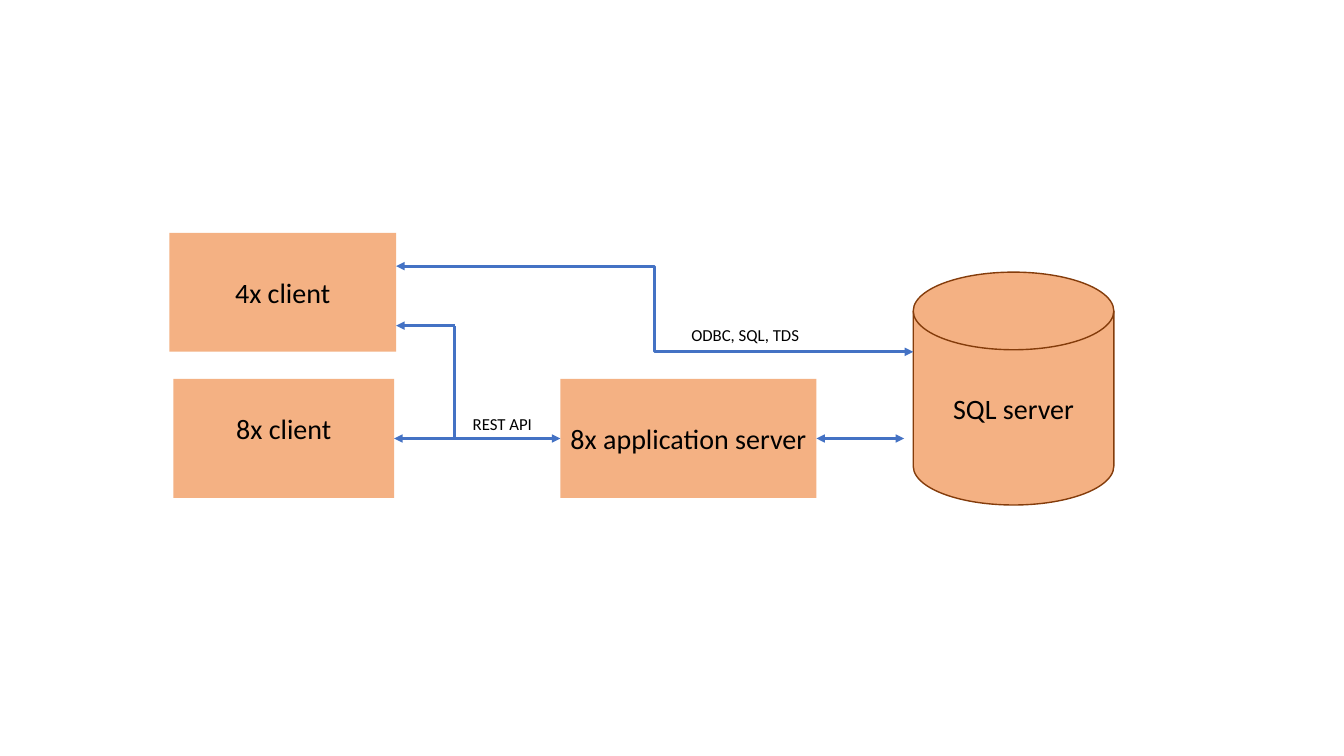
"""Build a slide showing how clients reach a SQL server."""
import dataclasses
import typing

import lxml.etree
import pptx
import pptx.dml.color
import pptx.enum.shapes
import pptx.enum.text
import pptx.oxml.ns
import pptx.shapes.autoshape
import pptx.shapes.connector
import pptx.slide
import pptx.util

Pt = pptx.util.Pt
Color = pptx.dml.color.RGBColor
Preset = pptx.enum.shapes.MSO_SHAPE
Route = pptx.enum.shapes.MSO_CONNECTOR
Align = pptx.enum.text.PP_ALIGN
Anchor = pptx.enum.text.MSO_ANCHOR
qn = pptx.oxml.ns.qn

LEFT_SIDE, RIGHT_SIDE = 1, 3
ROW_TOP = 270.72
BOX_HEIGHT = 84.96
ROW_MIDDLE = ROW_TOP + BOX_HEIGHT / 2
UPPER_CLIENT_RIGHT = 282.96
BRANCH_X = 324.72
BRANCH_Y = 232.56


@dataclasses.dataclass(frozen=True)
class Theme:
    font: str = "Calibri"
    text: Color = Color.from_string("000000")
    node_fill: Color = Color.from_string("F4B183")
    node_outline: Color = Color.from_string("843C0B")
    link: Color = Color.from_string("4472C4")
    node_size: float = 20
    label_size: float = 12
    outline_width: float = 1
    link_width: float = 2


@dataclasses.dataclass(frozen=True)
class Node:
    text: str
    left: float
    top: float
    width: float
    height: float = BOX_HEIGHT
    preset: Preset = Preset.RECTANGLE
    outlined: bool = False
    bottom_margin: float = 3.6


@dataclasses.dataclass(frozen=True)
class Label:
    text: str
    left: float
    top: float
    width: float
    height: float
    alignment: Align


@dataclasses.dataclass(frozen=True)
class Link:
    start: tuple[float, float]
    end: tuple[float, float]
    arrows: tuple[str, ...] = ("headEnd", "tailEnd")
    route: Route = Route.STRAIGHT
    start_node: typing.Optional[str] = None
    end_node: typing.Optional[str] = None


THEME = Theme()
NODES = (
    Node("8x application server", 400.32, ROW_TOP, 182.88),
    Node("8x client", 123.84, ROW_TOP, 157.68, bottom_margin=18),
    Node("SQL server", 652.32, 194.4, 143.28, 166.32, Preset.FLOWCHART_MAGNETIC_DISK, True),
    Node("4x client", 120.96, 166.32, 162),
)
LABELS = (
    Label("REST API", 311, 292, 95.76, 22, Align.CENTER),
    Label("ODBC, SQL, TDS", 486.72, 228.24, 137.52, 21.6, Align.LEFT),
)
LINKS = (
    Link((583.2, ROW_MIDDLE), (645.84, ROW_MIDDLE), start_node="8x application server"),
    Link((281.52, ROW_MIDDLE), (400.32, ROW_MIDDLE),
         start_node="8x client", end_node="8x application server"),
    Link((UPPER_CLIENT_RIGHT, BRANCH_Y), (BRANCH_X, BRANCH_Y), ("headEnd",)),
    Link((BRANCH_X, ROW_MIDDLE), (BRANCH_X, BRANCH_Y), ()),
    Link((UPPER_CLIENT_RIGHT, 190.08), (652.32, 251.28), route=Route.ELBOW),
)


def apply_format(target: typing.Any, values: dict[str, typing.Any]) -> None:
    """Set each named attribute on the target."""
    for name, value in values.items():
        setattr(target, name, value)


def write_text(shape: pptx.shapes.autoshape.Shape, text: str, size: float,
               alignment: Align, frame_format: dict[str, typing.Any]) -> None:
    """Fill a shape with one formatted paragraph."""
    apply_format(shape.text_frame, {"word_wrap": True, **frame_format})
    paragraph = shape.text_frame.paragraphs[0]
    paragraph.alignment = alignment
    run = paragraph.add_run()
    run.text = text
    apply_format(run.font, {"name": THEME.font, "size": Pt(size)})
    run.font.color.rgb = THEME.text


def draw_node(slide: pptx.slide.Slide, node: Node) -> pptx.shapes.autoshape.Shape:
    """Draw a system component."""
    shape = slide.shapes.add_shape(
        node.preset, Pt(node.left), Pt(node.top), Pt(node.width), Pt(node.height))
    shape.shadow.inherit = False
    shape.fill.solid()
    shape.fill.fore_color.rgb = THEME.node_fill
    if node.outlined:
        shape.line.color.rgb = THEME.node_outline
        shape.line.width = Pt(THEME.outline_width)
    else:
        shape.line.fill.background()
    write_text(shape, node.text, THEME.node_size, Align.CENTER, {
        "vertical_anchor": Anchor.MIDDLE,
        "margin_left": Pt(3.6),
        "margin_right": Pt(3.6),
        "margin_bottom": Pt(node.bottom_margin),
    })
    return shape


def draw_label(slide: pptx.slide.Slide, label: Label) -> None:
    """Draw the protocol name beside a link."""
    shape = slide.shapes.add_textbox(
        Pt(label.left), Pt(label.top), Pt(label.width), Pt(label.height))
    write_text(shape, label.text, THEME.label_size, label.alignment,
               {"vertical_anchor": Anchor.TOP})


def draw_link(slide: pptx.slide.Slide, link: Link,
              shapes: dict[str, pptx.shapes.autoshape.Shape]) -> None:
    """Draw a link and join it to its nodes."""
    connector: pptx.shapes.connector.Connector = slide.shapes.add_connector(
        link.route, *map(Pt, link.start + link.end))
    if link.start_node:
        connector.begin_connect(shapes[link.start_node], RIGHT_SIDE)
    if link.end_node:
        connector.end_connect(shapes[link.end_node], LEFT_SIDE)
    connector.line.color.rgb = THEME.link
    connector.line.width = Pt(THEME.link_width)
    properties = connector._element.spPr
    outline = properties.find(qn("a:ln"))
    for arrow in link.arrows:
        lxml.etree.SubElement(outline, qn(f"a:{arrow}"), type="triangle")
    lxml.etree.SubElement(properties, qn("a:effectLst"))


def main() -> None:
    """Create and save the presentation."""
    presentation = pptx.Presentation()
    apply_format(presentation, {"slide_width": Pt(960), "slide_height": Pt(540)})
    slide = presentation.slides.add_slide(presentation.slide_layouts[6])
    shapes = {node.text: draw_node(slide, node) for node in NODES}
    for link in LINKS:
        draw_link(slide, link, shapes)
    for label in LABELS:
        draw_label(slide, label)
    presentation.save("out.pptx")


if __name__ == "__main__":
    main()
